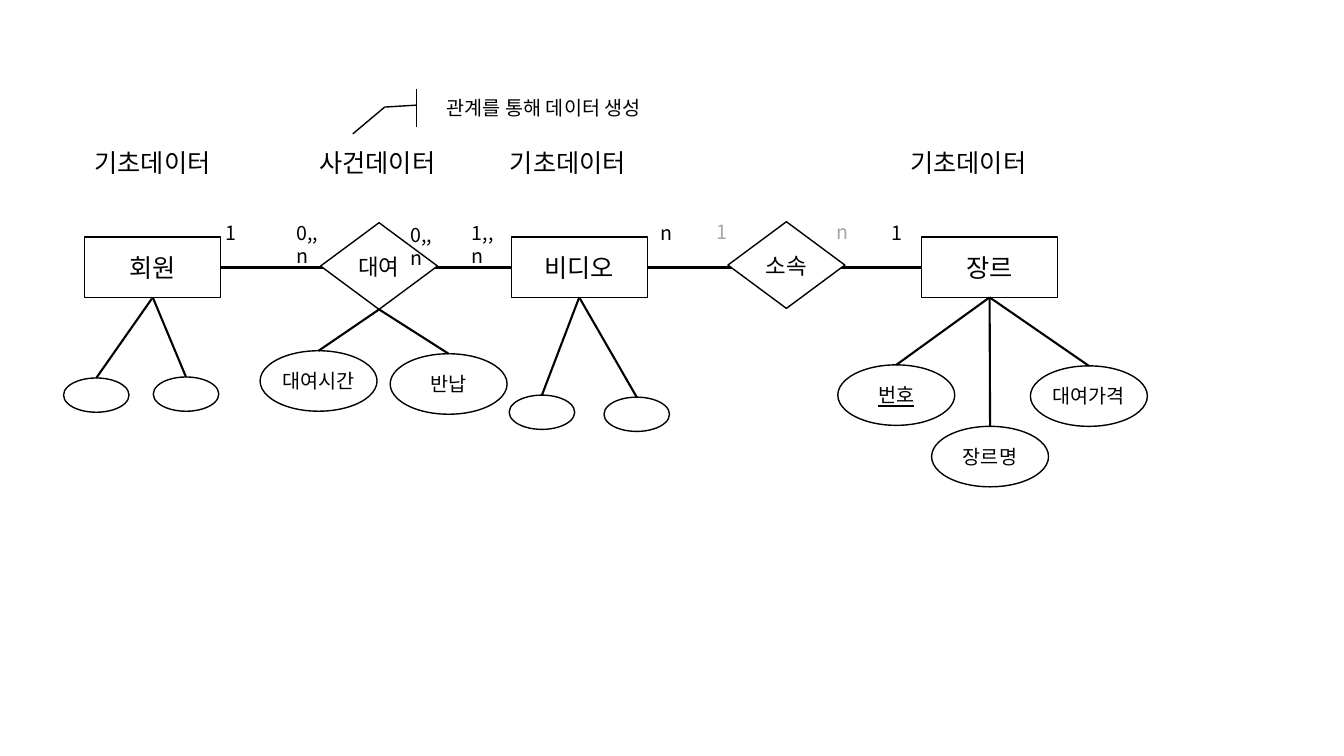
"""Build the video rental entity-relationship diagram slide."""
from itertools import pairwise
from lxml import etree
from pptx import Presentation, util as u
from pptx.dml.color import RGBColor
from pptx.enum import shapes, text
from pptx.oxml.ns import qn

BLACK = RGBColor(0, 0, 0)
WHITE = RGBColor(255, 255, 255)
GRAY = RGBColor(166, 166, 166)
FONT = "Noto Sans CJK KR"

ENTITY_TOP, ENTITY_SIZE = 2.35, (1.35, 0.6)
RELATION_SIZE = (1.16, 0.86)
NAMED_SIZE, EMPTY_SIZE = (1.16, 0.6), (0.65, 0.34)
HEADING_TOP, HEADING_SIZE = 1.41, (1.46, 0.4)

ENTITIES = {"회원": 0.84, "비디오": 5.07, "장르": 9.14}
RELATIONS = {"대여": (3.18, 2.21), "소속": (7.22, 2.2)}
ATTRIBUTES = [
    ("회원", "", 0.63, 3.75), ("회원", "", 1.52, 3.74),
    ("대여", "대여시간", 2.58, 3.48), ("대여", "반납", 3.87, 3.51),
    ("비디오", "", 5.05, 3.92), ("비디오", "", 5.99, 3.94),
    ("장르", "번호", 8.31, 3.62), ("장르", "장르명", 9.24, 4.23),
    ("장르", "대여가격", 10.22, 3.63),
]
KEY_ATTRIBUTE = "번호"
HEADINGS = [("기초데이터", 0.84), ("사건데이터", 3.07),
            ("기초데이터", 4.96), ("기초데이터", 8.93)]
CARDINALITIES = [
    ("1", 2.14, 2.14, BLACK), ("0,,n", 2.84, 2.14, BLACK),
    ("0,,n", 3.97, 2.16, BLACK), ("1,,n", 4.58, 2.14, BLACK),
    ("n", 6.45, 2.14, BLACK), ("1", 7.01, 2.13, GRAY),
    ("n", 8.2, 2.13, GRAY), ("1", 8.74, 2.14, BLACK),
]
CALLOUT = ("관계를 통해 데이터 생성", (4.18, 0.88, 2.43, 0.38))
CALLOUT_POINTS = (0.43, -0.02, 0.48, -0.15, 1.18, -0.28)


def write(shape, words, size, color=BLACK, **font_format):
    paragraph = shape.text_frame.paragraphs[0]
    run = paragraph.add_run()
    run.text = words
    settings = {"name": FONT, "size": u.Pt(size), **font_format}
    for name, value in settings.items():
        setattr(run.font, name, value)
    run.font.color.rgb = color
    east_asian = etree.SubElement(run.font._element, qn("a:ea"))
    east_asian.set("typeface", FONT)
    return paragraph


def add_figure(slide, kind, box, words="", size=14, filled=True, inset=0.1, **font_format):
    shape = slide.shapes.add_shape(kind, *map(u.Inches, box))
    shape.shadow.inherit = False
    if filled:
        shape.fill.solid()
        shape.fill.fore_color.rgb = WHITE
    else:
        shape.fill.background()
    shape.line.color.rgb = BLACK
    shape.line.width = u.Pt(1)
    if words:
        frame_format = {"margin_left": u.Inches(inset), "margin_right": u.Inches(inset),
                        "vertical_anchor": text.MSO_ANCHOR.MIDDLE, "word_wrap": True}
        for name, value in frame_format.items():
            setattr(shape.text_frame, name, value)
        write(shape, words, size, **font_format).alignment = text.PP_ALIGN.CENTER
    return shape


def add_label(slide, words, box, size, color=BLACK, wrap=False):
    label = slide.shapes.add_textbox(*map(u.Inches, box))
    label.text_frame.word_wrap = wrap
    write(label, words, size, color)


def add_line(slide, start, end, width):
    line = slide.shapes.add_connector(
        shapes.MSO_CONNECTOR.STRAIGHT, *map(u.Inches, (*start, *end)))
    line.line.color.rgb = BLACK
    line.line.width = u.Pt(width)
    etree.SubElement(line._element.spPr, qn("a:effectLst"))


def main():
    presentation = Presentation()
    presentation.slide_width, presentation.slide_height = u.Inches(13.33), u.Inches(7.5)
    slide = presentation.slides.add_slide(presentation.slide_layouts[6])
    kinds = shapes.MSO_SHAPE

    entity_width, entity_height = ENTITY_SIZE
    middle = ENTITY_TOP + entity_height / 2
    for left, right in pairwise(ENTITIES.values()):
        add_line(slide, (left + entity_width, middle), (right, middle), 2.25)

    bottoms = {}
    for name, left in ENTITIES.items():
        add_figure(slide, kinds.RECTANGLE, (left, ENTITY_TOP, *ENTITY_SIZE), name, 18, filled=False)
        bottoms[name] = (left + entity_width / 2, ENTITY_TOP + entity_height)
    for name, (left, top) in RELATIONS.items():
        add_figure(slide, kinds.DIAMOND, (left, top, *RELATION_SIZE), name, 16, inset=0.04)
        bottoms[name] = (left + RELATION_SIZE[0] / 2, top + RELATION_SIZE[1])

    for owner, name, left, top in ATTRIBUTES:
        size = NAMED_SIZE if name else EMPTY_SIZE
        add_figure(slide, kinds.OVAL, (left, top, *size), name, inset=0,
                   underline=name == KEY_ATTRIBUTE)
        add_line(slide, bottoms[owner], (left + size[0] / 2, top), 1.5)

    for words, left in HEADINGS:
        add_label(slide, words, (left, HEADING_TOP, *HEADING_SIZE), 18)
    for words, left, top, color in CARDINALITIES:
        is_range = len(words) > 1
        width = 0.51 if is_range else 0.31
        add_label(slide, words, (left, top, width, 0.34), 14, color, wrap=is_range)

    words, box = CALLOUT
    callout = add_figure(slide, kinds.LINE_CALLOUT_2_ACCENT_BAR, box, words)
    for index, value in enumerate(CALLOUT_POINTS):
        callout.adjustments[index] = value

    presentation.save("out.pptx")


if __name__ == "__main__":
    main()
